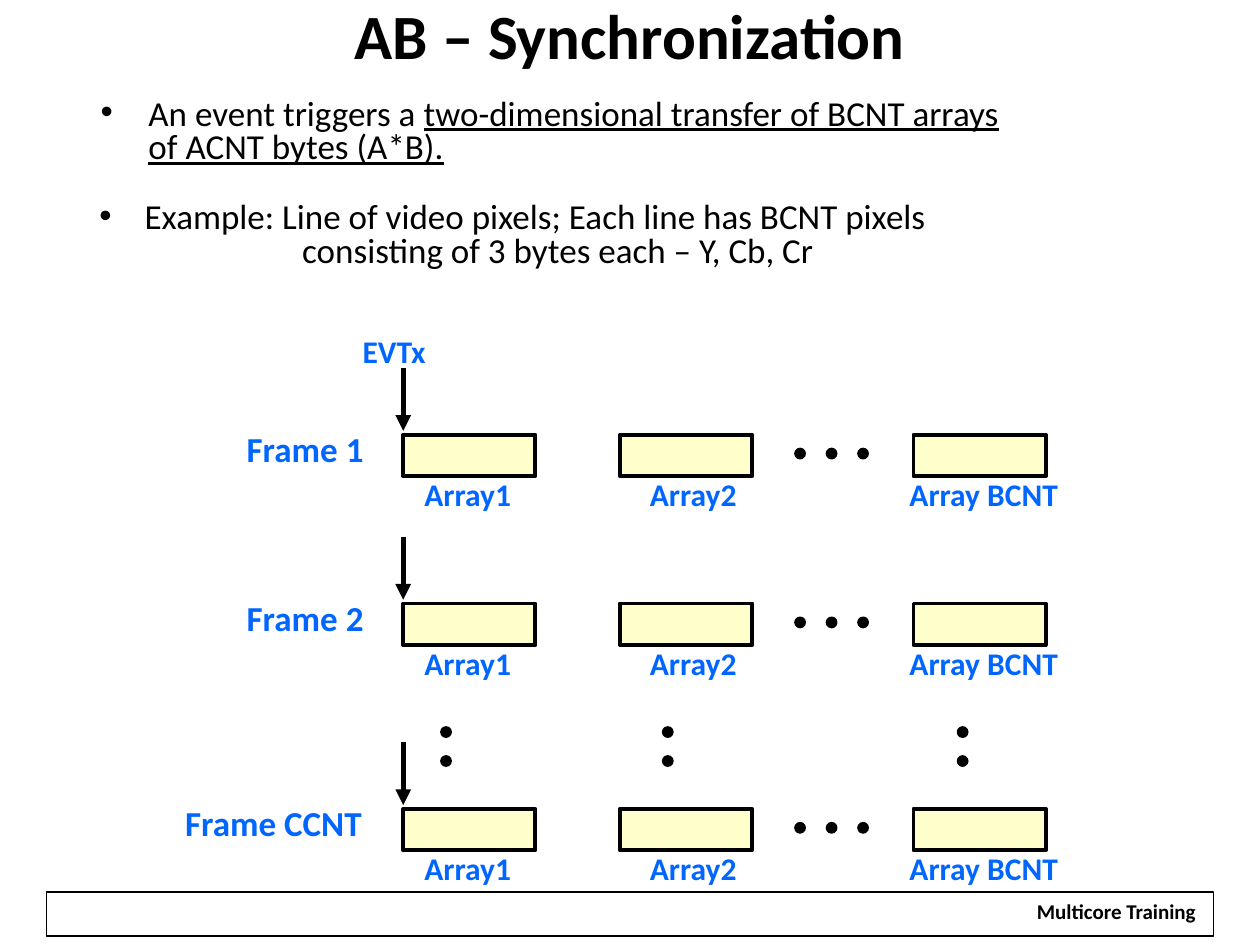
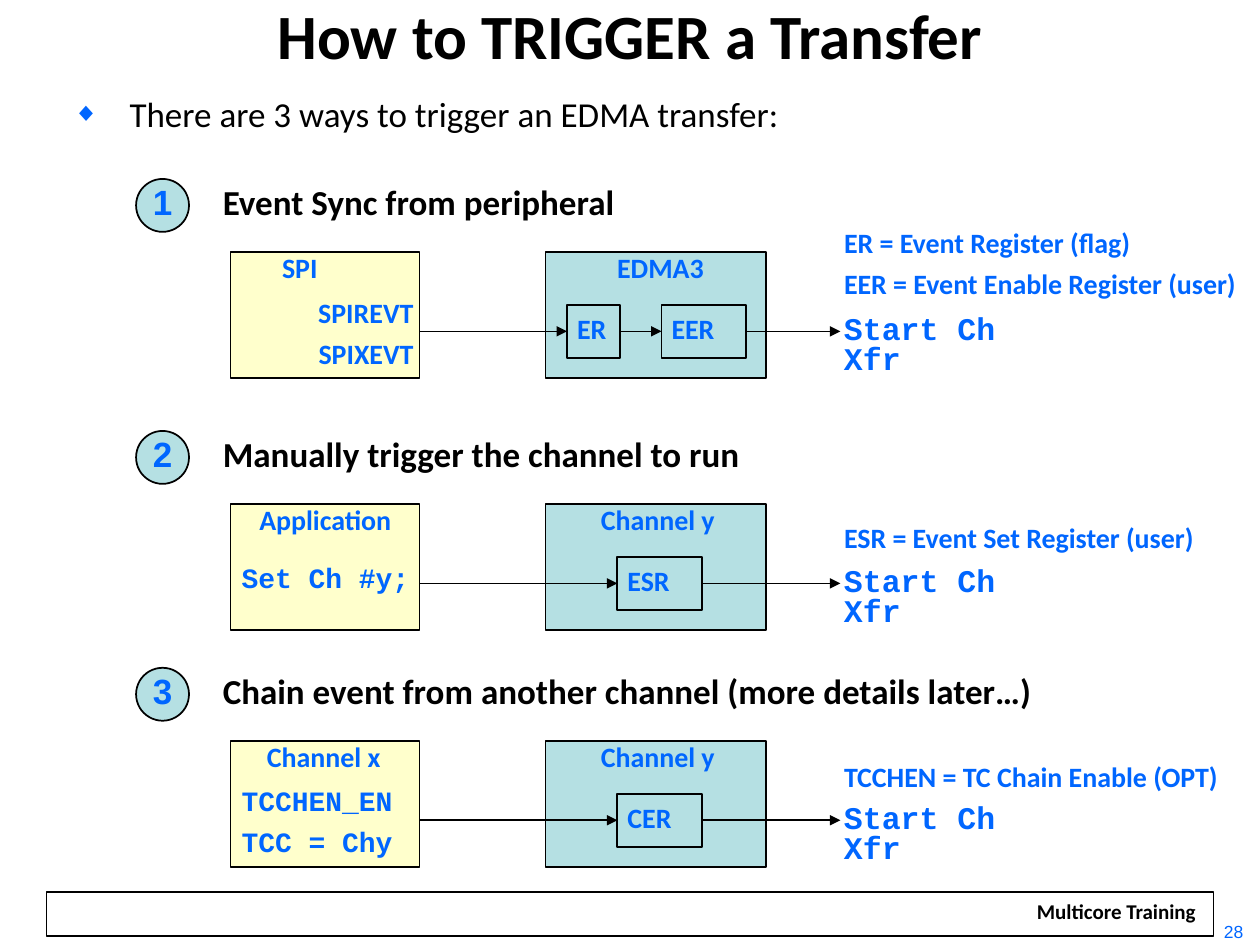
from lxml import etree
from pptx import Presentation
from pptx.dml.color import RGBColor
from pptx.enum.shapes import MSO_CONNECTOR, MSO_SHAPE
from pptx.enum.text import MSO_ANCHOR, MSO_AUTO_SIZE, PP_ALIGN
from pptx.oxml.ns import qn
from pptx.util import Inches, Pt

BLACK, WHITE, BLUE = "000000", "FFFFFF", "0066FF"
CREAM, TEAL = "FFFFCC", "B5E0E3"
MONO = "Courier New"


def rgb(value):
    """Turn a hex string into a colour."""
    return RGBColor.from_string(value)


def add_bullet(paragraph, char, color, percent):
    """Give a paragraph a coloured bullet character."""
    properties = paragraph._p.get_or_add_pPr()
    tint = etree.SubElement(properties, qn("a:buClr"))
    etree.SubElement(tint, qn("a:srgbClr"), val=color)
    etree.SubElement(properties, qn("a:buSzPct"), val=str(percent * 1000))
    etree.SubElement(properties, qn("a:buFont"), typeface="Arial")
    etree.SubElement(properties, qn("a:buChar"), char=char)


def write(frame, text, size=16, font="Calibri", color=BLUE, bold=True, underlined="",
          align=PP_ALIGN.LEFT, spacing=0.8, before=8, indent=0, hanging=0,
          bullet=None, bullet_color=BLACK, bullet_percent=100):
    """Append one formatted paragraph, with an optional underlined ending."""
    first = not frame.paragraphs[0].runs
    paragraph = frame.paragraphs[0] if first else frame.add_paragraph()
    if bullet:
        add_bullet(paragraph, bullet, bullet_color, bullet_percent)
    properties = paragraph._p.get_or_add_pPr()
    properties.set("marL", str(Inches(indent)))
    properties.set("indent", str(Inches(-hanging)))
    paragraph.alignment = align
    paragraph.line_spacing = spacing
    if not first:
        paragraph.space_before = Pt(before)
    for part, underline in ((text, False), (underlined, True)):
        for number, line in enumerate(part.split("\n") if part else []):
            if number:
                paragraph.add_line_break()
            run = paragraph.add_run()
            run.text = line
            run.font.name, run.font.size = font, Pt(size)
            run.font.bold, run.font.underline = bold, underline
            run.font.color.rgb = rgb(color)


class Deck:
    """Holds the shared style and the current slide."""

    def __init__(self):
        """Start an empty 10 by 7.5 inch presentation."""
        self.presentation = Presentation()
        self.presentation.slide_width = Inches(10)
        self.presentation.slide_height = Inches(7.5)

    def start_slide(self, title):
        """Add a slide with its footer band and title."""
        self.slide = self.presentation.slides.add_slide(self.presentation.slide_layouts[6])
        self.shape(0.37, 7.08, 9.26, 0.35, line_width=0.75)
        footer = self.shape(8.12, 7.12, 1.48, 0.26, fill=WHITE, line_width=0)
        footer.text_frame.word_wrap = False
        write(footer.text_frame, "Multicore Training", size=12, color=BLACK, align=PP_ALIGN.CENTER)
        self.text(title, 0, 0.06, 10, 0.67, wrap=True, margin=0.05, size=36, color=BLACK,
                  align=PP_ALIGN.CENTER, spacing=0.75)

    def text(self, text, left, top, width, height, wrap=False, anchor=MSO_ANCHOR.TOP,
             margin=0.1, **style):
        """Add a text box and return its frame."""
        frame = self.slide.shapes.add_textbox(
            Inches(left), Inches(top), Inches(width), Inches(height)).text_frame
        frame.word_wrap = wrap
        frame.auto_size = MSO_AUTO_SIZE.NONE if wrap else MSO_AUTO_SIZE.SHAPE_TO_FIT_TEXT
        frame.vertical_anchor = anchor
        frame.margin_left = frame.margin_right = Inches(margin)
        write(frame, text, **style)
        return frame

    def shape(self, left, top, width, height, fill=None, line_width=1.0,
              kind=MSO_SHAPE.RECTANGLE):
        """Add a flat preset shape outlined in black."""
        shape = self.slide.shapes.add_shape(
            kind, Inches(left), Inches(top), Inches(width), Inches(height))
        shape.shadow.inherit = False
        if fill:
            shape.fill.solid()
            shape.fill.fore_color.rgb = rgb(fill)
        else:
            shape.fill.background()
        if line_width:
            shape.line.color.rgb = rgb(BLACK)
            shape.line.width = Pt(line_width)
        else:
            shape.line.fill.background()
        return shape

    def labelled(self, label, *place, margin=0.08, align=PP_ALIGN.LEFT, style=None, **look):
        """Add a shape that carries its own short label."""
        shape = self.shape(*place, **look)
        frame = shape.text_frame
        frame.word_wrap = False
        frame.vertical_anchor = MSO_ANCHOR.MIDDLE
        frame.margin_left = frame.margin_right = Inches(margin)
        write(frame, label, align=align, **(style or {}))
        return shape

    def dot(self, left, top):
        """Add one dot of an ellipsis."""
        self.shape(left, top, 0.08, 0.08, fill=BLACK, kind=MSO_SHAPE.OVAL)

    def arrow(self, start, end, width=1.0, source=None, target=None):
        """Add an arrow, joined to the right of source and left of target."""
        arrow = self.slide.shapes.add_connector(
            MSO_CONNECTOR.STRAIGHT, *(Inches(value) for value in (*start, *end)))
        if source:
            arrow.begin_connect(source, 3)
        if target:
            arrow.end_connect(target, 1)
        arrow.line.color.rgb = rgb(BLACK)
        arrow.line.width = Pt(width)
        etree.SubElement(arrow.line._get_or_add_ln(), qn("a:tailEnd"), type="triangle")
        etree.SubElement(arrow._element.spPr, qn("a:effectLst"))


def build_synchronization(deck):
    """Draw the grid of frames and arrays."""
    deck.start_slide("AB – Synchronization")
    body = dict(size=20, color=BLACK, bold=False)
    deck.text("An event triggers a ", 0.7, 0.73, 7.39, 0.65, anchor=MSO_ANCHOR.MIDDLE,
              underlined="two-dimensional transfer of BCNT arrays\nof ACNT bytes (A*B).",
              bullet="•", indent=0.38, hanging=0.38, **body)
    example = deck.text("Example: Line of video pixels; Each line has BCNT pixels",
                        0.69, 1.56, 7.4, 0.65, wrap=True, bullet="•",
                        indent=0.36, hanging=0.36, **body)
    write(example, "consisting of 3 bytes each – Y, Cb, Cr", indent=1.61, before=0, **body)

    deck.text("EVTx", 2.78, 2.64, 0.7, 0.34, size=18)
    frames = [("Frame 1", 1.86, 1.14, 3.45), ("Frame 2", 1.86, 1.14, 4.79),
              ("Frame CCNT", 1.37, 1.62, 6.42)]
    arrays = [("Array1", 3.2, 3.27, 0.99), ("Array2", 4.92, 5.06, 0.99),
              ("Array BCNT", 7.25, 7.12, 1.5)]
    for frame, frame_left, frame_width, top in frames:
        deck.text(frame, frame_left, top - 0.04, frame_width, 0.37, size=20)
        for array, box_left, label_left, label_width in arrays:
            deck.shape(box_left, top, 1.05, 0.33, fill=CREAM, line_width=2.25)
            deck.text(array, label_left, top + 0.33, label_width, 0.34, wrap=True, size=18)
        for step in range(3):
            deck.dot(6.31 + 0.25 * step, top + 0.11)
        deck.arrow((3.2, top - 0.53), (3.2, top - 0.03), width=3)
    for left in (3.5, 5.26, 7.6):
        for top in (5.77, 6):
            deck.dot(left, top)


def build_trigger(deck):
    """Draw the three ways to start a transfer."""
    deck.start_slide("How to TRIGGER a Transfer")
    deck.text("There are 3 ways to trigger an EDMA transfer:", 0.48, 0.75, 5.96, 0.37,
              size=20, color=BLACK, bold=False, bullet="◆", bullet_color=BLUE,
              bullet_percent=75, indent=0.45, hanging=0.45)

    right, mono = dict(align=PP_ALIGN.RIGHT), dict(font=MONO)
    ways = [
        dict(top=1.42, heading=("Event Sync from peripheral", 3.34),
             source=("SPI", 2.14, 0.5), target=("EDMA3", 4.8, 0.9),
             signals=(["SPIREVT", "SPIXEVT"], 2.41, 0.93, 0.97, right),
             registers=[("ER", 4.5, 0.42), ("EER", 5.25, 0.67)],
             legend=(["ER = Event Register (flag)", "EER = Event Enable Register (user)"],
                     0.37, 3.35)),
        dict(top=3.42, heading=("Manually trigger the channel to run", 4.34),
             source=("Application", 1.96, 1.26), target=("Channel y", 4.67, 1.12),
             signals=(["Set Ch #y;"], 1.82, 1.03, 1.54, mono),
             registers=[("ESR", 4.9, 0.67)],
             legend=(["ESR = Event Set Register (user)"], 0.71, 3.01)),
        dict(top=5.3, heading=("Chain event from another channel (more details later…)", 6.67),
             source=("Channel x", 2.02, 1.12), target=("Channel y", 4.67, 1.12),
             signals=(["TCCHEN_EN", "TCC = Chy"], 1.82, 0.92, 1.4, mono),
             registers=[("CER", 4.9, 0.67)],
             legend=(["TCCHEN = TC Chain Enable (OPT)"], 0.73, 3.21)),
    ]
    for number, way in enumerate(ways, 1):
        top = way["top"]
        deck.labelled(str(number), 1.08, top, 0.42, 0.42, fill=TEAL, kind=MSO_SHAPE.OVAL,
                      margin=0, align=PP_ALIGN.CENTER, style=dict(size=20, font="Arial"))
        heading, heading_width = way["heading"]
        deck.text(heading, 1.67, top + 0.03, heading_width, 0.38, size=20, color=BLACK)
        for role, left, width, fill in (("source", 1.83, 1.5, CREAM),
                                        ("target", 4.33, 1.75, TEAL)):
            deck.shape(left, top + 0.58, width, 1, fill=fill)
            name, name_left, name_width = way[role]
            deck.text(name, name_left, top + 0.57, name_width, 0.32)

        signals, left, offset, width, style = way["signals"]
        legend, legend_offset, legend_width = way["legend"]
        for lines, *place, look in ((signals, left, top + offset, width, style),
                                    (legend, 6.6, top + legend_offset, legend_width, {})):
            frame = deck.text(lines[0], *place, 0.32 * len(lines), **look)
            for line in lines[1:]:
                write(frame, line, **look)

        middle = top + 1.21
        previous, start = None, (3.33, middle)
        for register, left, width in way["registers"]:
            box = deck.labelled(register, left, top + 1, width, 0.42)
            deck.arrow(start, (left, middle), source=previous, target=box)
            previous, start = box, (left + width, middle)
        deck.arrow(start, (6.67, middle), source=previous)
        deck.text("Start Ch Xfr", 6.6, top + 1.04, 1.9, 0.6, wrap=True, size=18, font=MONO)
    deck.text("28", 9.59, 7.31, 0.4, 0.19, wrap=True, anchor=MSO_ANCHOR.MIDDLE, size=10,
              font="Arial", bold=False, align=PP_ALIGN.CENTER)


def main():
    """Build both slides and save them."""
    deck = Deck()
    build_synchronization(deck)
    build_trigger(deck)
    deck.presentation.save("out.pptx")


if __name__ == "__main__":
    main()
